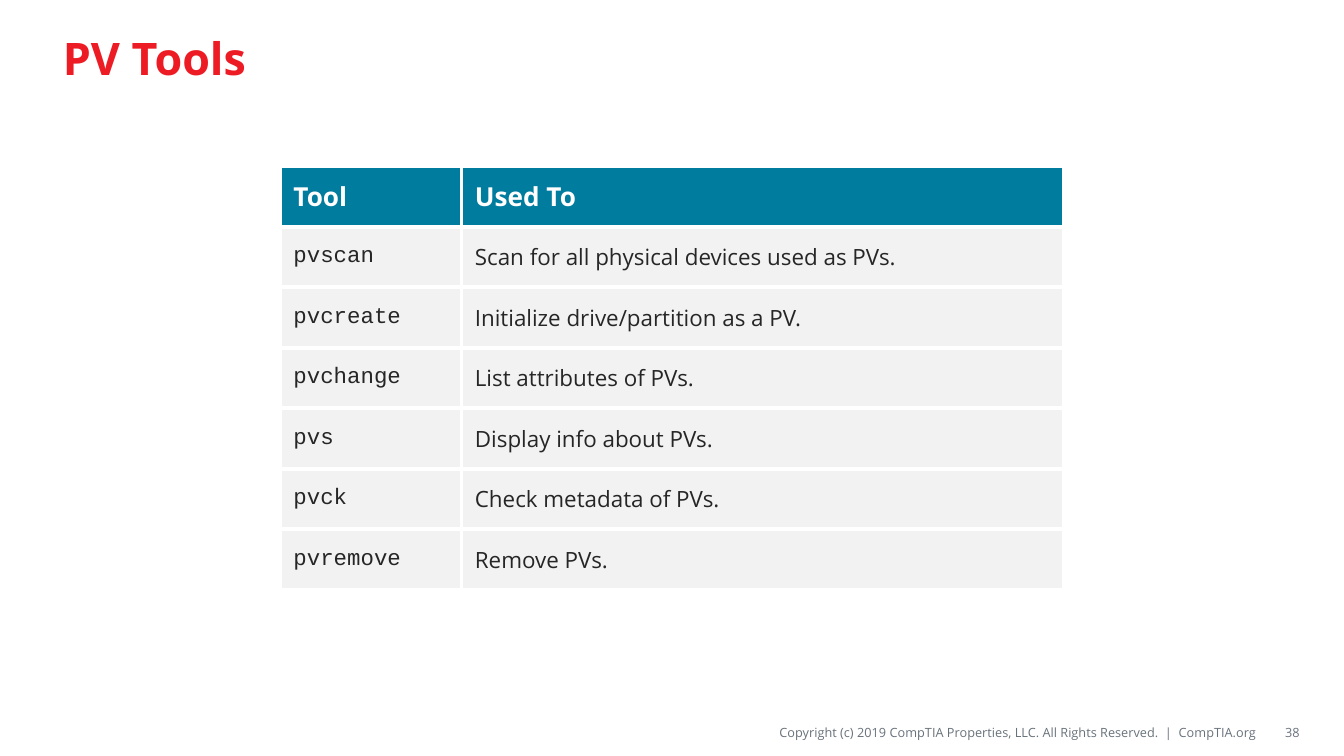
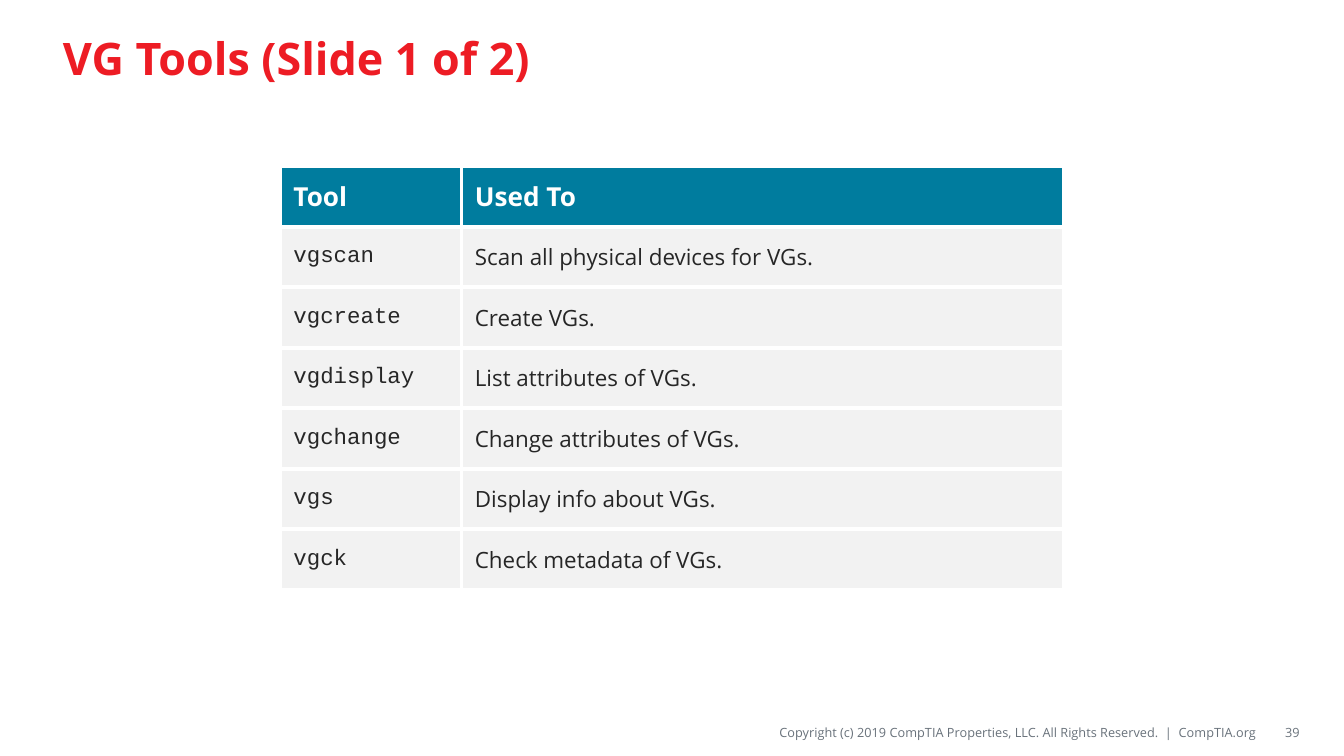
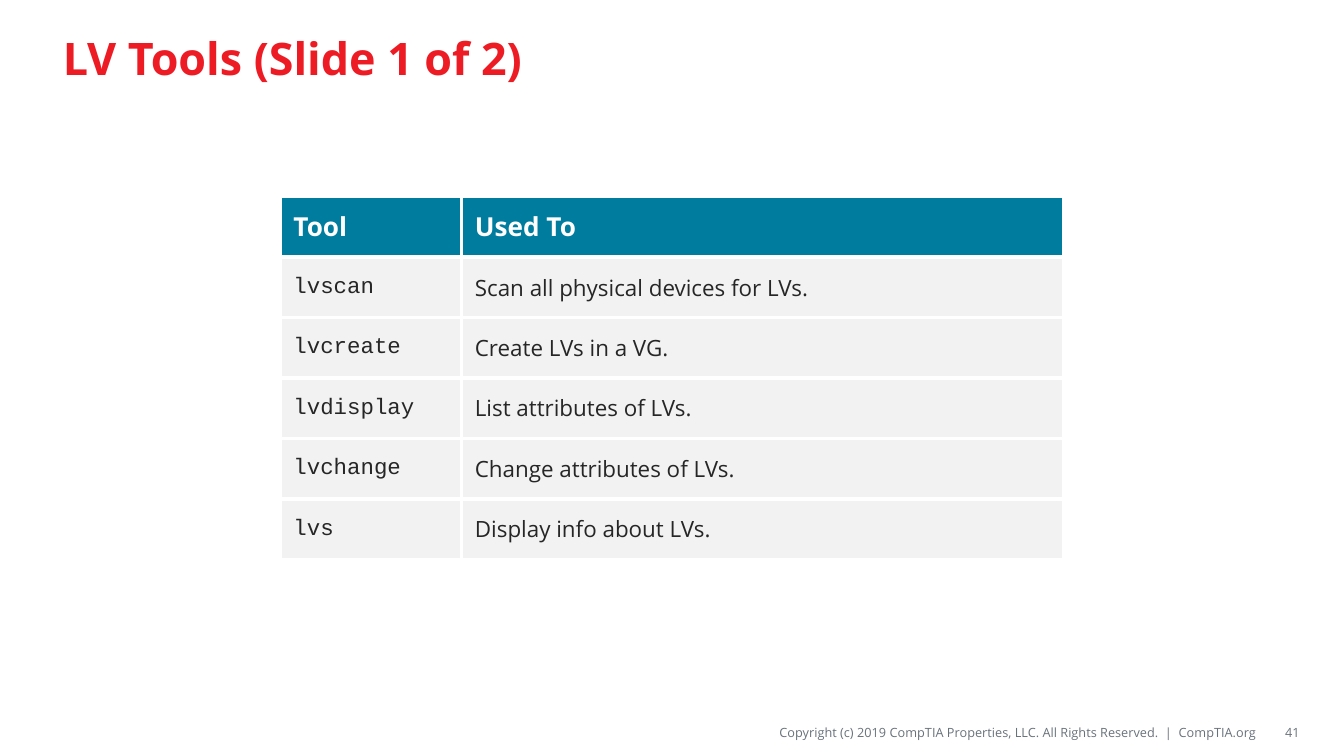
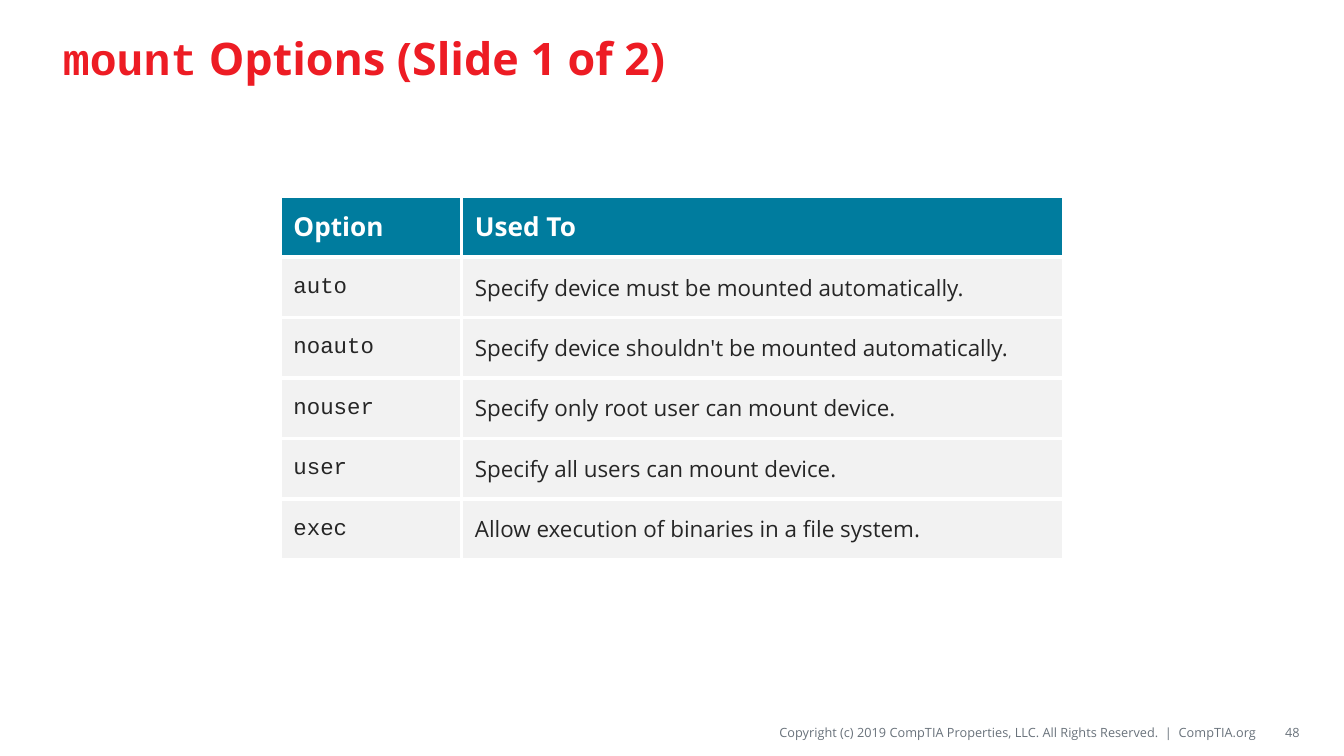
from lxml import etree
from pptx import Presentation
from pptx.dml.color import RGBColor
from pptx.enum.text import MSO_ANCHOR, PP_ALIGN
from pptx.oxml.ns import qn
from pptx.util import Pt

MIDDLE = MSO_ANCHOR.MIDDLE
LEFT, RIGHT = PP_ALIGN.LEFT, PP_ALIGN.RIGHT

RED = RGBColor(0xED, 0x1C, 0x24)
TEAL = RGBColor(0x00, 0x7C, 0x9E)
WHITE = RGBColor(0xFF, 0xFF, 0xFF)
PALE = RGBColor(0xF2, 0xF2, 0xF2)
DARK = RGBColor(0x26, 0x26, 0x26)
GREY = RGBColor(0x69, 0x72, 0x7B)

SANS, MONO = "Open Sans", "Courier New"
WIDE, HIGH = 720, 405
COLS = (97.2, 322.8)
ROW = 32.4
RULE = 2.25
LEGAL = ("Copyright (c) 2019 CompTIA Properties, LLC. "
         "All Rights Reserved.  |  CompTIA.org")

PAGES = [
    (38, [("PV Tools", SANS)], "Tool", [
        ("pvscan", "Scan for all physical devices used as PVs."),
        ("pvcreate", "Initialize drive/partition as a PV."),
        ("pvchange", "List attributes of PVs."),
        ("pvs", "Display info about PVs."),
        ("pvck", "Check metadata of PVs."),
        ("pvremove", "Remove PVs."),
    ]),
    (39, [("VG Tools (Slide 1 of 2)", SANS)], "Tool", [
        ("vgscan", "Scan all physical devices for VGs."),
        ("vgcreate", "Create VGs."),
        ("vgdisplay", "List attributes of VGs."),
        ("vgchange", "Change attributes of VGs."),
        ("vgs", "Display info about VGs."),
        ("vgck", "Check metadata of VGs."),
    ]),
    (41, [("LV Tools (Slide 1 of 2)", SANS)], "Tool", [
        ("lvscan", "Scan all physical devices for LVs."),
        ("lvcreate", "Create LVs in a VG."),
        ("lvdisplay", "List attributes of LVs."),
        ("lvchange", "Change attributes of LVs."),
        ("lvs", "Display info about LVs."),
    ]),
    (48, [("mount", MONO), (" Options (Slide 1 of 2)", SANS)], "Option", [
        ("auto", "Specify device must be mounted automatically."),
        ("noauto", "Specify device shouldn't be mounted automatically."),
        ("nouser", "Specify only root user can mount device."),
        ("user", "Specify all users can mount device."),
        ("exec", "Allow execution of binaries in a file system."),
    ]),
]


class Deck:
    def __init__(self):
        self.show = Presentation()
        self.show.slide_width = Pt(WIDE)
        self.show.slide_height = Pt(HIGH)
        self.slide = None

    def page(self):
        self.slide = self.show.slides.add_slide(self.show.slide_layouts[6])

    def words(self, para, parts, size, color, bold=False):
        for text, name in parts:
            run = para.add_run()
            run.text = text
            if len(parts) > 1:
                run.font.name = name
        font = para.font
        font.size, font.bold = Pt(size), bold
        font.color.rgb = color
        if len(parts) == 1:
            font.name = parts[0][1]

    def text(self, box, parts, size, color, bold=False, align=LEFT,
             inset=(7.2, 3.6, 7.2, 3.6)):
        frame = self.slide.shapes.add_textbox(*map(Pt, box)).text_frame
        frame.word_wrap = True
        frame.vertical_anchor = MIDDLE
        (frame.margin_left, frame.margin_top,
         frame.margin_right, frame.margin_bottom) = map(Pt, inset)
        para = frame.paragraphs[0]
        para.alignment = align
        self.words(para, parts, size, color, bold)

    def title(self, parts):
        self.text((26.6, 5.8, 666, 49.7), parts, 24, RED, True)

    def foot(self, number):
        self.text((279.4, 384.5, 393.8, 15.8), [(LEGAL, SANS)], 6.8, GREY,
                  align=RIGHT, inset=(0, 2.9, 0, 2.9))
        self.text((675.4, 384.5, 20.9, 15.8), [(str(number), SANS)], 6.8,
                  GREY, align=RIGHT, inset=(7.2, 3.6, 0, 3.6))

    def border(self, cell):
        props = cell._tc.get_or_add_tcPr()
        for side in ("a:lnL", "a:lnR", "a:lnT", "a:lnB"):
            line = etree.SubElement(props, qn(side), w=str(Pt(RULE)))
            fill = etree.SubElement(line, qn("a:solidFill"))
            etree.SubElement(fill, qn("a:srgbClr"), val=str(WHITE))

    def cell(self, cell, text, name, size, color, back, bold=False):
        self.border(cell)
        cell.fill.solid()
        cell.fill.fore_color.rgb = back
        cell.vertical_anchor = MIDDLE
        self.words(cell.text_frame.paragraphs[0], [(text, name)],
                   size, color, bold)

    def table(self, head, rows):
        width, height = sum(COLS), ROW * (len(rows) + 1)
        grid = self.slide.shapes.add_table(
            len(rows) + 1, len(COLS), Pt((WIDE - width) / 2),
            Pt((HIGH - height) / 2), Pt(width), Pt(height)).table
        grid.horz_banding = False
        for col, size in zip(grid.columns, COLS):
            col.width = Pt(size)
        for row in grid.rows:
            row.height = Pt(ROW)
        for col, text in enumerate(head):
            self.cell(grid.cell(0, col), text, SANS, 14, WHITE, TEAL, True)
        for row, texts in enumerate(rows, 1):
            for col, (text, name) in enumerate(zip(texts, (MONO, SANS))):
                self.cell(grid.cell(row, col), text, name, 12, DARK, PALE)


def main():
    deck = Deck()
    for number, title, head, rows in PAGES:
        deck.page()
        deck.title(title)
        deck.foot(number)
        deck.table((head, "Used To"), rows)
    deck.show.save("out.pptx")


if __name__ == "__main__":
    main()
